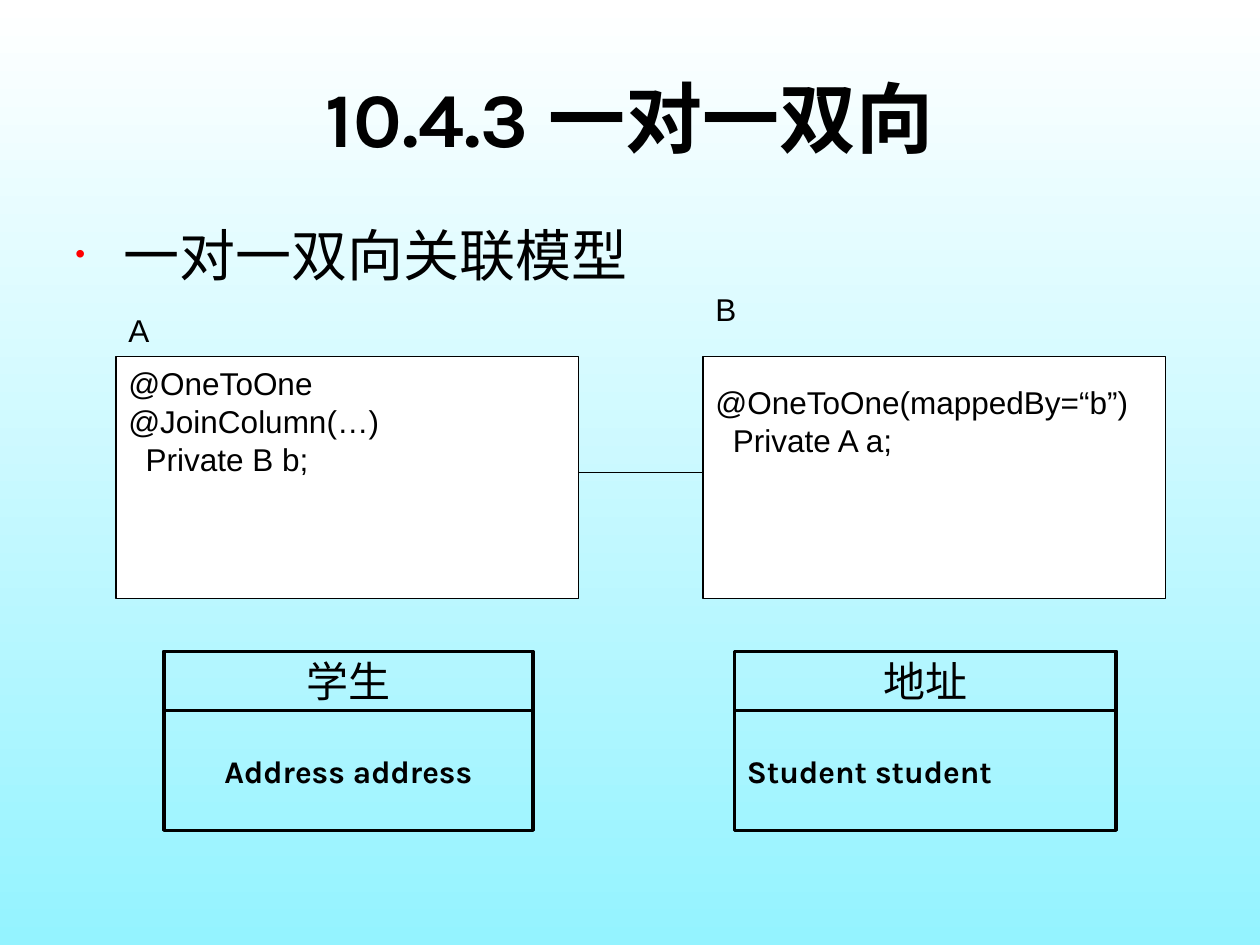
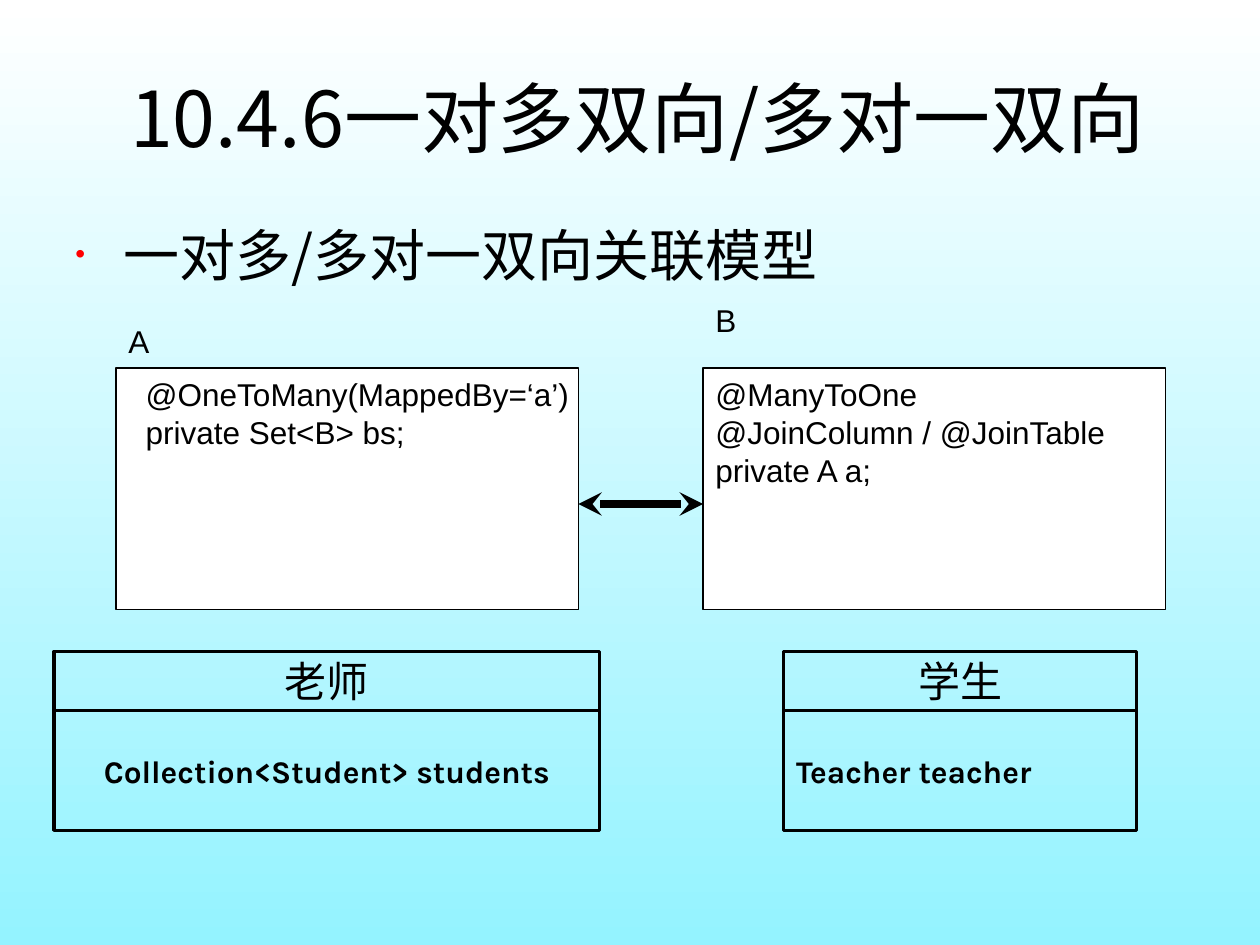
from lxml import etree
from pptx import Presentation
from pptx import util as u
from pptx.dml.color import RGBColor
from pptx.enum import shapes, text
from pptx.oxml import ns

# Content: cards are (title, field, left, width); code is (lines, top inset)
PAGES = [
    dict(
        title="10.4.3 一对一双向", face="Karla", bold=True, shift=0,
        point="一对一双向关联模型",
        top=2.83, link=3.75, weight=0.75, heads=False,
        code=[
            ("@OneToOne\n@JoinColumn(…)\n  Private B b;", 0.06),
            ("@OneToOne(mappedBy=“b”)\n  Private A a;", 0.21),
        ],
        cards=[("学生", "Address address", 1.3, 2.93),
               ("地址", "Student student", 5.83, 3.03)],
    ),
    dict(
        title="10.4.6一对多双向/多对一双向", face="Noto Sans CJK SC", bold=False, shift=0.06,
        point="一对多/多对一双向关联模型",
        top=2.92, link=4, weight=4.5, heads=True,
        code=[
            ("  @OneToMany(MappedBy=‘a’)\n  private Set<B> bs;", 0.06),
            ("@ManyToOne\n@JoinColumn / @JoinTable\nprivate A a;", 0.06),
        ],
        cards=[("老师", "Collection<Student> students", 0.43, 4.33),
               ("学生", "Teacher teacher", 6.22, 2.8)],
    ),
]

# Shared style
HUES = dict(ink="000000", paper="FFFFFF", sky="94F3FF", dot="FF0000")
HAN = "Noto Sans CJK SC"
LEFT, MID = text.PP_ALIGN.LEFT, text.PP_ALIGN.CENTER
HIGH, CORE = text.MSO_ANCHOR.TOP, text.MSO_ANCHOR.MIDDLE
SIDES = [("A", 0.92, 0.41), ("B", 5.58, 0.58)]  # name, left, rise of the label
BOX_W, BOX_H = 3.67, 1.92
CARD_Y, HEAD_H, BODY_H = 5.17, 0.47, 0.95


def hue(name):
    return RGBColor.from_string(HUES[name])


def sub(node, tag, **attrs):
    return etree.SubElement(node, ns.qn(tag), **attrs)


def write(shape, words, size, face, bold=False, align=LEFT, anchor=CORE, pitch=None):
    frame = shape.text_frame
    frame.word_wrap = True
    frame.vertical_anchor = anchor
    frame.text = words
    for para in frame.paragraphs:
        para.alignment = align
        if pitch:
            para.line_spacing = u.Pt(pitch)
        for run in para.runs:
            font = run.font
            font.size, font.name, font.bold = u.Pt(size), face, bold
            font.color.rgb = hue("ink")
            sub(font._element, "a:ea", typeface=HAN)
    return frame


def label(slide, box, *args, **style):
    shape = slide.shapes.add_textbox(*map(u.Inches, box))
    return write(shape, *args, **style)


def rect(slide, box, weight, fill=None):
    shape = slide.shapes.add_shape(shapes.MSO_SHAPE.RECTANGLE, *map(u.Inches, box))
    shape.shadow.inherit = False
    if fill:
        shape.fill.solid()
        shape.fill.fore_color.rgb = hue(fill)
    else:
        shape.fill.background()
    shape.line.color.rgb = hue("ink")
    shape.line.width = u.Pt(weight)
    return shape


def point(slide, words):
    frame = label(slide, (0.5, 1.75, 9, 4.95), words, 32, HAN, anchor=HIGH)
    frame.margin_top = 0
    props = frame.paragraphs[0]._p.get_or_add_pPr()
    props.set("marL", str(u.Inches(0.38)))
    props.set("indent", str(-u.Inches(0.38)))
    sub(sub(props, "a:buClr"), "a:srgbClr", val=HUES["dot"])
    sub(props, "a:buSzPct", val="50000")
    sub(props, "a:buFont", typeface="Arial")
    sub(props, "a:buChar", char="•")


def link(slide, y, weight, heads):
    start = SIDES[0][1] + BOX_W
    wire = slide.shapes.add_connector(
        shapes.MSO_CONNECTOR.STRAIGHT,
        *map(u.Inches, (start, y, SIDES[1][1], y)))
    wire.line.color.rgb = hue("ink")
    wire.line.width = u.Pt(weight)
    if heads:
        for end in ("a:headEnd", "a:tailEnd"):
            sub(wire.line._get_or_add_ln(), end, type="stealth")
    sub(wire._element.spPr, "a:effectLst")


def card(slide, name, field, x, w, align):
    head = rect(slide, (x, CARD_Y, w, HEAD_H), 2)
    write(head, name, 24, "Karla", align=MID)
    body = rect(slide, (x, CARD_Y + HEAD_H, w, BODY_H), 2)
    write(body, field, 18, "Karla", bold=True, align=align)


def build(slide, page):
    # Title and bullet
    label(slide, (0.5 + page["shift"], 0.3, 9, 1.25), page["title"], 44,
          page["face"], bold=page["bold"], align=MID)
    point(slide, page["point"])

    # Code boxes with their names
    top = page["top"]
    for (name, x, rise), (code, inset) in zip(SIDES, page["code"]):
        box = rect(slide, (x, top, BOX_W, BOX_H), 0.75, "paper")
        frame = write(box, code, 18, "Arial", anchor=HIGH, pitch=21.6)
        frame.margin_top, frame.margin_right = u.Inches(inset), 0
        label(slide, (x, top - rise, 1.67, 0.4), name, 18, "Arial", anchor=HIGH)
    link(slide, page["link"], page["weight"], page["heads"])

    # Class cards
    for row, align in zip(page["cards"], (MID, LEFT)):
        card(slide, *row, align)


def main():
    prs = Presentation()
    prs.slide_width, prs.slide_height = u.Inches(10), u.Inches(7.5)

    # Background shared through the master
    fill = prs.slide_master.background.fill
    fill.gradient()
    fill.gradient_angle = 270
    for stop, name in zip(fill.gradient_stops, ("paper", "sky")):
        stop.color.rgb = hue(name)

    for page in PAGES:
        build(prs.slides.add_slide(prs.slide_layouts[6]), page)
    prs.save("out.pptx")


if __name__ == "__main__":
    main()
